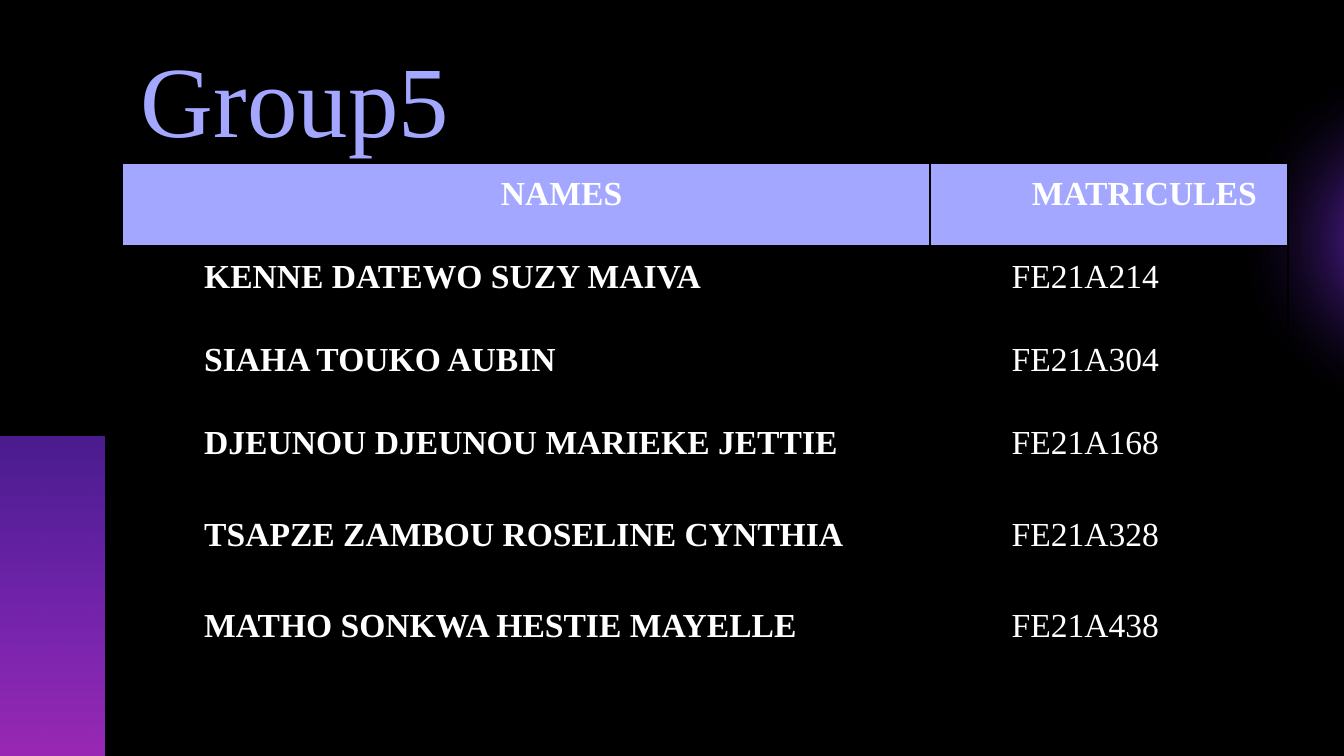
from pptx import Presentation
from pptx.dml.color import RGBColor
from pptx.enum.shapes import MSO_SHAPE
from pptx.enum.text import MSO_ANCHOR, MSO_AUTO_SIZE, PP_ALIGN
from pptx.oxml import parse_xml
from pptx.oxml.ns import nsdecls, qn
from pptx.util import Pt

BLACK = RGBColor(0x00, 0x00, 0x00)
WHITE = RGBColor(0xFF, 0xFF, 0xFF)
LAVENDER = RGBColor(0xA3, 0xA7, 0xFF)
VIOLET = RGBColor(0x87, 0x33, 0xFF)
MAGENTA = RGBColor(0x9A, 0x29, 0xB5)

HEADERS = ("NAMES", "MATRICULES")
MEMBERS = (
    ("KENNE DATEWO SUZY MAIVA", "FE21A214"),
    ("SIAHA TOUKO AUBIN", "FE21A304"),
    ("DJEUNOU DJEUNOU MARIEKE JETTIE", "FE21A168"),
    ("TSAPZE ZAMBOU ROSELINE CYNTHIA", "FE21A328"),
    ("MATHO SONKWA HESTIE MAYELLE", "FE21A438"),
)
COLUMN_WIDTHS = (432.6, 191.8)
ROW_HEIGHTS = (44.6,) * 3 + (49,) * 3

DOWNWARD = '<a:lin ang="5400000" scaled="0"/>'
RADIAL = ('<a:path path="circle">'
          '<a:fillToRect l="50000" t="50000" r="50000" b="50000"/></a:path>')


class SlideBuilder:
    font_name = "Times New Roman"
    title_size = Pt(54)
    table_size = Pt(18)
    border_width = Pt(0.96)

    def __init__(self, page):
        self.page = page
        page.background.fill.solid()
        page.background.fill.fore_color.rgb = BLACK

    def style(self, para, size, color, bold=False):
        para.font.name = self.font_name
        para.font.size = size
        para.font.bold = bold
        para.font.color.rgb = color

    def title(self, text, left, top, width, height):
        box = self.page.shapes.title
        box.left, box.top, box.width, box.height = map(Pt, (left, top, width, height))
        frame = box.text_frame
        frame.text = text
        frame.auto_size = MSO_AUTO_SIZE.NONE
        frame.vertical_anchor = MSO_ANCHOR.MIDDLE
        frame.margin_left = frame.margin_right = Pt(7.2)
        frame.margin_top = frame.margin_bottom = Pt(7.2)
        para = frame.paragraphs[0]
        para.alignment = PP_ALIGN.CENTER
        self.style(para, self.title_size, LAVENDER)

    def gradient_shape(self, kind, left, top, width, height, stops, direction):
        """Draw an unlined shape; stops are (position %, colour, opacity %)."""
        shape = self.page.shapes.add_shape(kind, *map(Pt, (left, top, width, height)))
        shape.shadow.inherit = False
        shape.line.fill.background()
        shape.fill.background()
        stop_xml = "".join(
            f'<a:gs pos="{position * 1000}"><a:srgbClr val="{color}">'
            f'<a:alpha val="{opacity * 1000}"/></a:srgbClr></a:gs>'
            for position, color, opacity in stops)
        gradient = parse_xml(
            f'<a:gradFill {nsdecls("a")} rotWithShape="1">'
            f'<a:gsLst>{stop_xml}</a:gsLst>{direction}</a:gradFill>')
        properties = shape.element.spPr
        properties.replace(properties.find(qn("a:noFill")), gradient)

    def table(self, left, top, rows):
        frame = self.page.shapes.add_table(
            len(rows), len(COLUMN_WIDTHS), Pt(left), Pt(top),
            Pt(sum(COLUMN_WIDTHS)), Pt(sum(ROW_HEIGHTS)))
        table = frame.table
        table.first_row = table.horz_banding = False
        for column, width in zip(table.columns, COLUMN_WIDTHS):
            column.width = Pt(width)
        for row, height in zip(table.rows, ROW_HEIGHTS):
            row.height = Pt(height)
        for row_index, texts in enumerate(rows):
            for column_index, text in enumerate(texts):
                header = row_index == 0
                self.cell(table.cell(row_index, column_index), text,
                          header, bold=header or column_index == 0)

    def cell(self, cell, text, header, bold):
        cell.margin_left, cell.margin_right = Pt(5), Pt(5.8)
        cell.margin_top = cell.margin_bottom = Pt(3.6)
        self.borders(cell)
        if header:
            cell.fill.solid()
            cell.fill.fore_color.rgb = LAVENDER
        else:
            cell.fill.background()
        cell.text = text
        para = cell.text_frame.paragraphs[0]
        para.alignment = PP_ALIGN.CENTER if header else PP_ALIGN.LEFT
        para.line_spacing = 1.15
        para.space_after = Pt(0.3)
        indents = para._p.get_or_add_pPr()
        indents.set("marL", str(Pt(57.6)))
        indents.set("indent", str(Pt(-18.7)))
        self.style(para, self.table_size, WHITE, bold)

    def borders(self, cell):
        properties = cell._tc.get_or_add_tcPr()
        for side in ("lnL", "lnR", "lnT", "lnB"):
            properties.append(parse_xml(
                f'<a:{side} {nsdecls("a")} w="{self.border_width}"><a:solidFill>'
                f'<a:srgbClr val="{BLACK}"/></a:solidFill></a:{side}>'))


def main():
    deck = Presentation()
    deck.slide_width, deck.slide_height = Pt(720), Pt(405)
    title_only = deck.slide_layouts[5]
    builder = SlideBuilder(deck.slides.add_slide(title_only))
    builder.gradient_shape(MSO_SHAPE.RECTANGLE, -62, 234, 118.2, 171,
                           ((0, VIOLET, 55), (100, MAGENTA, 100)), DOWNWARD)
    builder.gradient_shape(MSO_SHAPE.OVAL, 651.6, 20.9, 213.8, 213.8,
                           ((0, VIOLET, 100), (67, BLACK, 0), (100, BLACK, 0)), RADIAL)
    builder.title("Group5", 30.2, 16.6, 255.6, 70.6)
    builder.table(65.5, 87.3, (HEADERS, *MEMBERS))
    deck.save("out.pptx")


if __name__ == "__main__":
    main()
